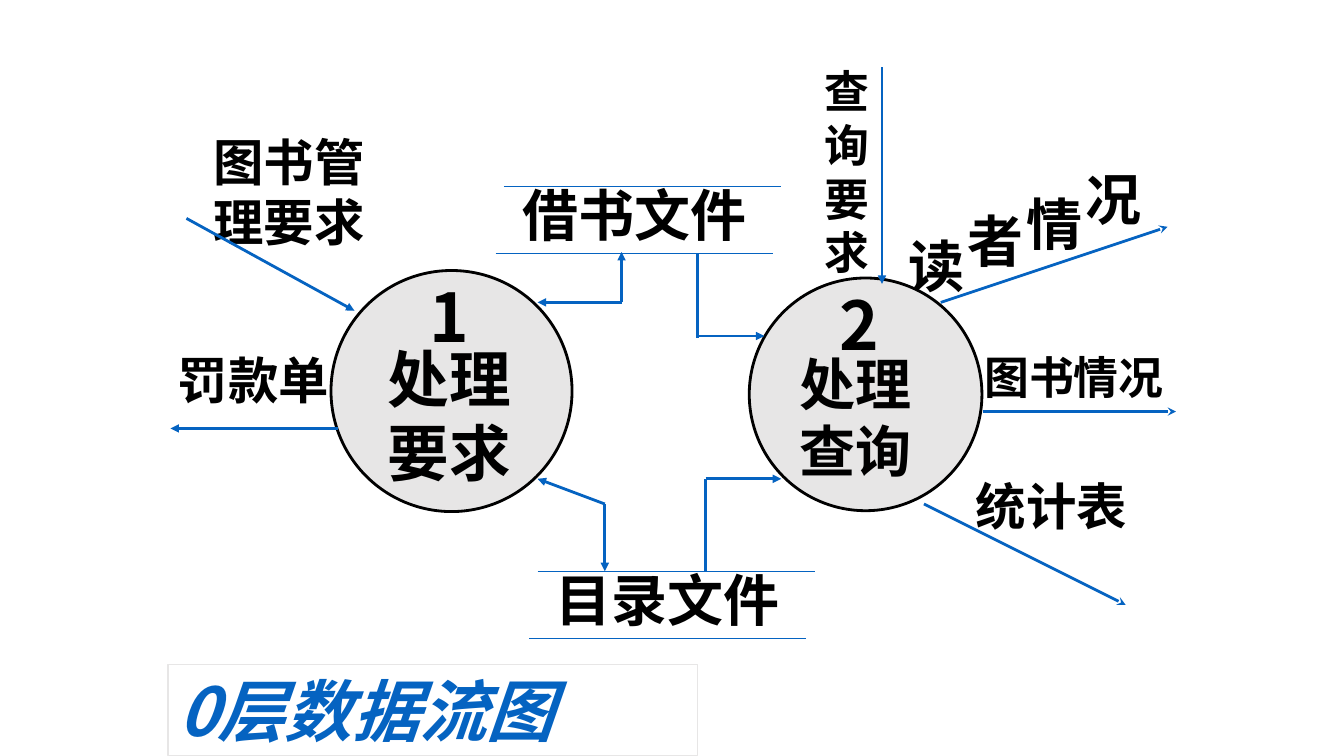
from pptx import Presentation
from pptx.dml.color import RGBColor
from pptx.enum.shapes import MSO_CONNECTOR, MSO_SHAPE
from pptx.enum.text import MSO_ANCHOR, MSO_AUTO_SIZE, PP_ALIGN
from pptx.oxml.ns import qn
from pptx.util import Inches, Pt
from lxml.etree import SubElement

COLORS = {"ink": "000000", "flow": "0563C1", "disc": "E7E6E6"}
FONT = "Noto Sans CJK SC"
STORE_FONT = "Arial Narrow"
COLS, ROWS = 160, 90


class Diagram:
    def __init__(self, prs):
        self.prs = prs
        self.slide = prs.slides.add_slide(prs.slide_layouts[5])

    def x(self, cols):
        return round(self.prs.slide_width * cols / COLS)

    def y(self, rows):
        return round(self.prs.slide_height * rows / ROWS)

    def box(self, left, top, width, height):
        return self.x(left), self.y(top), self.x(width), self.y(height)

    def color(self, name):
        return RGBColor.from_string(COLORS[name])

    def fill_text(self, sp, lines, size, font=FONT, color="ink", align=PP_ALIGN.LEFT, italic=False):
        tf = sp.text_frame
        tf.vertical_anchor = MSO_ANCHOR.TOP
        for i, line in enumerate(lines):
            p = tf.add_paragraph() if i else tf.paragraphs[0]
            p.alignment = align
            p.line_spacing = Pt(size * 1.2)
            p.space_before = Pt(0)
            r = p.add_run()
            r.text = line
            r.font.size = Pt(size)
            r.font.name = font
            r.font.bold = True
            r.font.italic = italic
            r.font.color.rgb = self.color(color)
            SubElement(r.font._element, qn("a:ea")).set("typeface", FONT)

    def title(self, text, size, *place):
        sp = self.slide.shapes.title
        sp.left, sp.top, sp.width, sp.height = self.box(*place)
        sp.line.color.rgb = self.color("disc")
        sp.line.width = Pt(0.75)
        sp.text_frame.auto_size = MSO_AUTO_SIZE.NONE
        self.fill_text(sp, [text], size, color="flow", italic=True)

    def text(self, lines, size, *place, wrap=True, **style):
        sp = self.slide.shapes.add_textbox(*self.box(*place))
        sp.text_frame.word_wrap = wrap
        sp.text_frame.auto_size = MSO_AUTO_SIZE.SHAPE_TO_FIT_TEXT
        self.fill_text(sp, lines, size, **style)

    def circle(self, left, top, size):
        sp = self.slide.shapes.add_shape(MSO_SHAPE.OVAL, *self.box(left, top, size, size))
        sp.shadow.inherit = False
        sp.fill.solid()
        sp.fill.fore_color.rgb = self.color("disc")
        sp.line.color.rgb = self.color("ink")
        sp.line.width = Pt(2)

    def line(self, x1, y1, x2, y2, arrow=None, width=2):
        c = self.slide.shapes.add_connector(
            MSO_CONNECTOR.STRAIGHT, self.x(x1), self.y(y1), self.x(x2), self.y(y2))
        c.line.color.rgb = self.color("flow")
        c.line.width = Pt(width)
        sp_pr = c._element.spPr
        if arrow:
            SubElement(sp_pr.find(qn("a:ln")), qn("a:tailEnd")).set("type", arrow)
        SubElement(sp_pr, qn("a:effectLst"))

    def store(self, name, left, top):
        self.line(left + 1, top, left + 34, top, width=0.75)
        self.text([name], 40, left, top - 1.25, 33, 9.24, font=STORE_FONT, align=PP_ALIGN.CENTER)
        self.line(left, top + 8, left + 33, top + 8, width=0.75)


def main():
    prs = Presentation()
    prs.slide_width, prs.slide_height = Inches(13.33), Inches(7.5)
    d = Diagram(prs)
    d.title("0层数据流图", 48, 20, 79.1, 63, 10.9)

    d.circle(89.2, 33.1, 27.7)
    d.text(["处理", "查询"], 40, 94, 41, 19, 17.4)
    d.text(["2"], 48, 98.8, 33.2, 6.5, 10.8, wrap=False)
    d.circle(39.4, 32.2, 28.7)
    d.text(["处理", "要求"], 44, 45, 40, 21, 19)
    d.text(["1"], 48, 50, 32.2, 6.5, 10.8, wrap=False)

    for label, size, *place in [
        ("查询要求", 32, 97, 7, 10, 27.1),
        ("图书管理要求", 36, 24.2, 15, 24, 15.6),
        ("罚款单", 36, 20, 41, 23, 8.4),
        ("统计表", 36, 115, 56, 24, 8.4),
        ("图书情况", 32, 116, 41, 24, 7.7),
    ]:
        d.text([label], size, *place)
    for i, (char, top) in enumerate(zip("读者情况", (27, 24, 22, 19))):
        d.text([char], 40, 107 + 7 * i, top, 11, 9.24)

    d.store("目录文件", 63, 68)
    d.store("借书文件", 59, 22.2)

    for flow in [(110, 60, 134, 72), (117, 49, 140, 49), (112, 36, 139, 27)]:
        d.line(*flow, arrow="stealth")
    for flow in [
        (40.2, 51, 20.3, 51),
        (22.2, 26, 42.2, 37),
        (105, 8, 105, 33.8),
        (74, 36, 74, 30),
        (74, 36, 64, 36),
        (83, 40, 91, 40),
        (84, 57, 93, 57),
        (72, 60, 72, 68),
        (72, 60, 64, 57),
    ]:
        d.line(*flow, arrow="triangle")
    d.line(83, 30.2, 83, 40.2)
    d.line(84, 68, 84, 57)

    prs.save("out.pptx")


if __name__ == "__main__":
    main()
